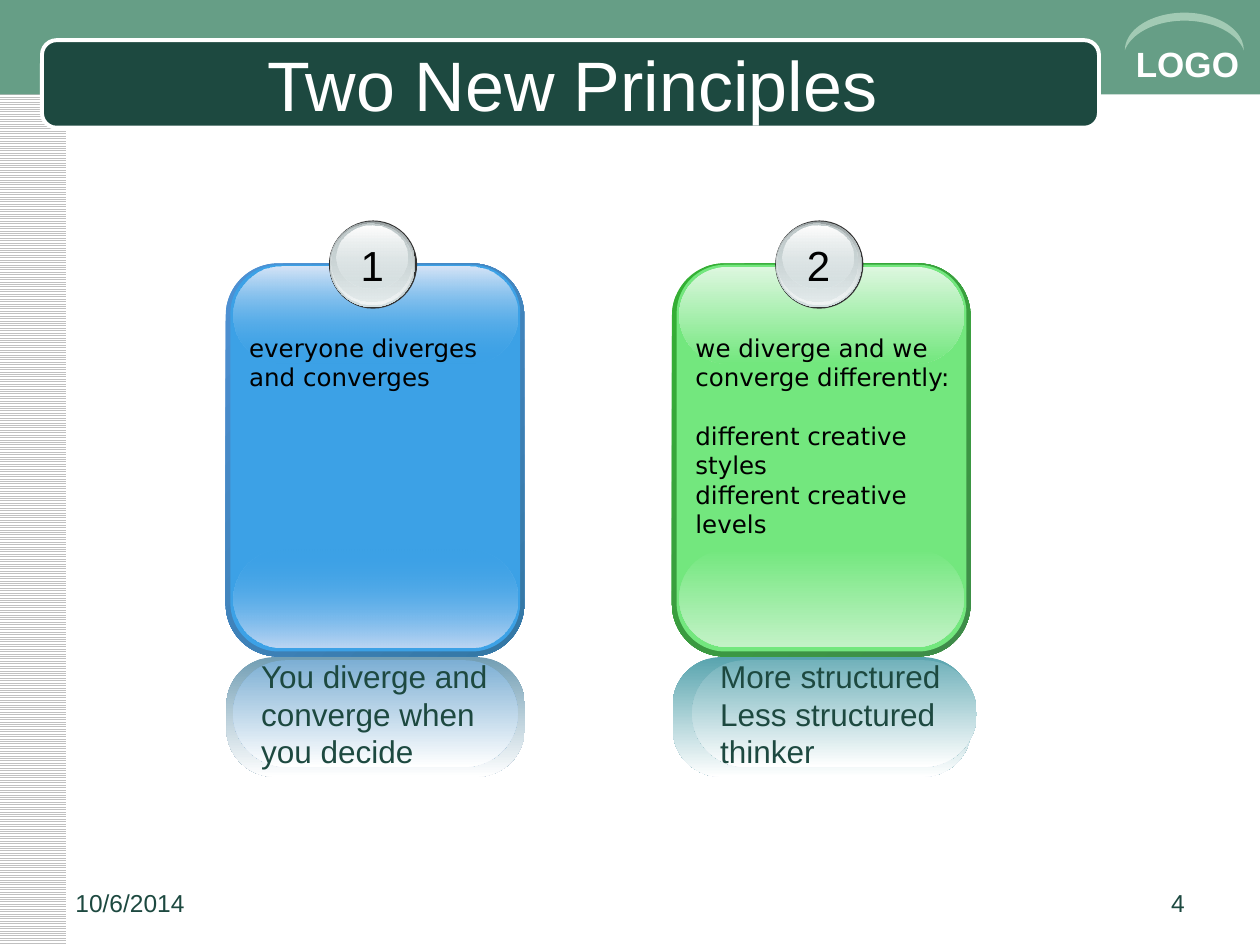
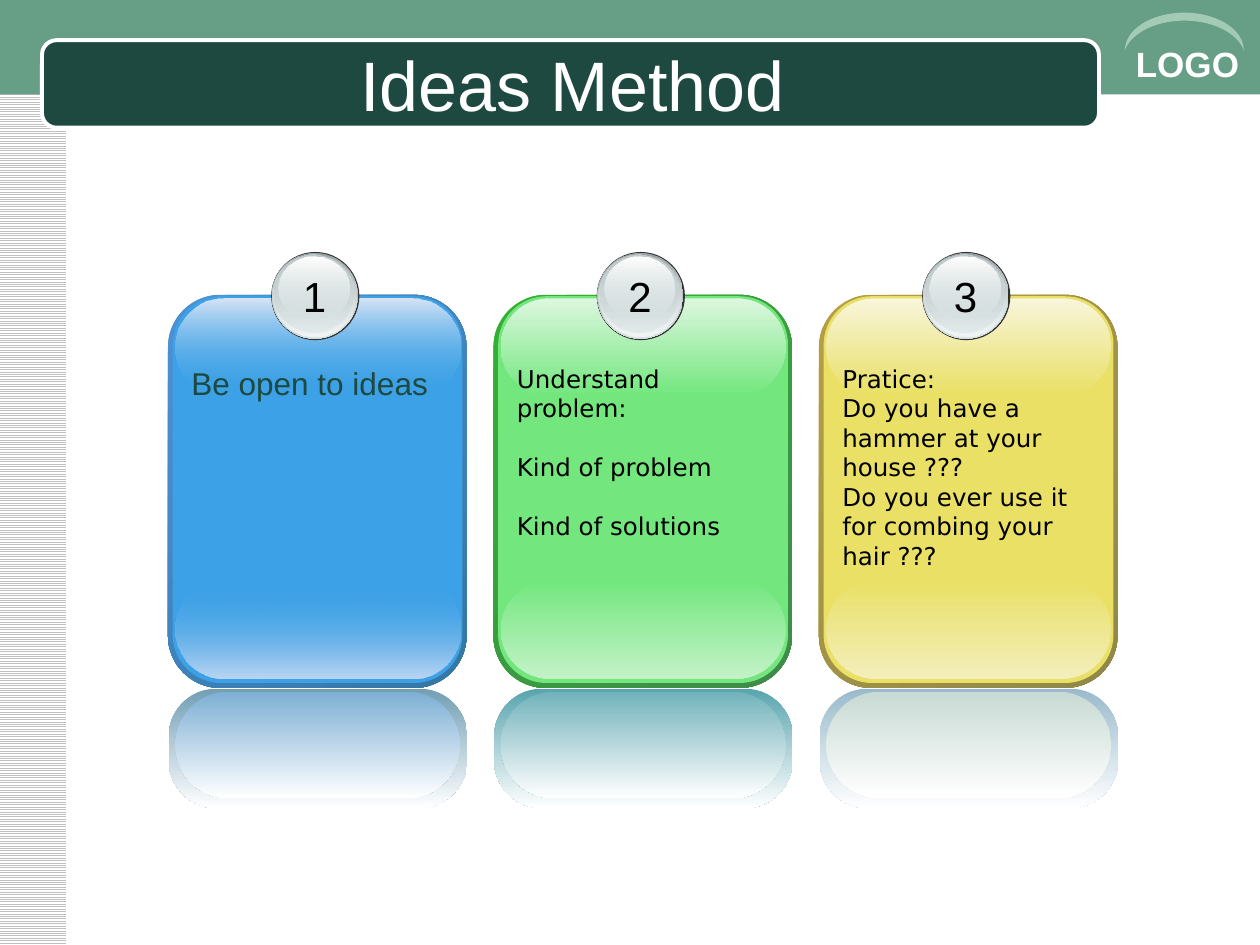
"""Build two slides of numbered glossy cards under a shared green header."""
from pptx import Presentation
from pptx.dml.color import RGBColor
from pptx.enum.dml import MSO_PATTERN
from pptx.enum.shapes import MSO_SHAPE as Preset
from pptx.enum.text import MSO_ANCHOR as Anchor, PP_ALIGN as Align
from pptx.oxml.ns import qn
from pptx.util import Pt
from lxml.etree import SubElement

hex_colour = RGBColor.from_string
DARK, WHITE, BLACK = "1D4940", "FFFFFF", "000000"
HEAD, BODY = "Arial", "DejaVu Sans"


def add_block(slide, preset, box, fill, corner=None, angle=90):
    """Add a shape; fill is one colour or (start, opacity, end, opacity)."""
    block = slide.shapes.add_shape(preset, *map(Pt, box))
    block.shadow.inherit = False
    block.line.fill.background()
    if corner is not None:
        block.adjustments[0] = corner
    if isinstance(fill, str):
        block.fill.solid()
        block.fill.fore_color.rgb = hex_colour(fill)
        return block
    block.fill.gradient()
    block.fill.gradient_angle = 360 - angle
    for stop, colour in zip(block.fill.gradient_stops, fill[::2]):
        stop.color.rgb = hex_colour(colour)
    for colour, opacity in zip(block.element.spPr.iter(qn("a:srgbClr")), fill[1::2]):
        if opacity < 100:
            SubElement(colour, qn("a:alpha")).set("val", str(opacity * 1000))
    return block


def write(holder, lines, size, font=HEAD, colour=DARK, align=Align.LEFT,
          anchor=Anchor.TOP, wrap=True, bold=False, gaps=()):
    """Write one paragraph per line, with a blank line's space before those in gaps."""
    frame = holder.text_frame
    frame.word_wrap = wrap
    frame.vertical_anchor = anchor
    for index, line in enumerate(lines):
        paragraph = frame.add_paragraph() if index else frame.paragraphs[0]
        paragraph.alignment = align
        if index in gaps:
            paragraph.space_before = Pt(size * 1.2)
        run = paragraph.add_run()
        run.text = line
        run.font.size, run.font.name, run.font.bold = Pt(size), font, bold
        run.font.color.rgb = hex_colour(colour)


THEMES = {
    "blue": {"edge": ("4E91D4", 100, "3477A4", 100), "face": "3CA1E6", "face_opacity": 0,
             "top": "D7E5F7", "bottom": "BDD6F3", "mirror": "729EB4", "mirror_face": "7DAFD4"},
    "green": {"edge": ("34B034", 100, "3F8B4A", 100), "face": "73E77E", "face_opacity": 100,
              "top": "DDF7DF", "bottom": "C3F2C7", "mirror": "58A4AE", "mirror_face": "72B2BB"},
    "yellow": {"edge": ("B59F43", 100, "8F8849", 100), "face": "E9E065", "face_opacity": 100,
               "top": "F8F5DB", "bottom": "F3EEBB", "mirror": "99BACC", "mirror_face": "C8DAD4"},
}

BADGE_RINGS = [
    ((59, -24.5, 50.4, 50.4), "333333"),
    ((59.4, -24, 49, 49), ("99A1A2", 100, "D6E1E2", 100)),
    ((60, -23.8, 47.5, 47.5), ("D6E1E2", 0, "F2F5F5", 100)),
    ((60.5, -23, 45.4, 44.6), ("C1CBCC", 100, "D6E1E2", 48)),
    ((63.3, -21.8, 40.3, 36), ("FFFFFF", 100, "D6E1E2", 38)),
]

black_body = {"size": 14, "font": BODY, "colour": BLACK}
SLIDES = [
    {"title": "Two New Principles", "left": 129, "top": 150.5, "pitch": 255,
     "footer": ("10/6/2014", "4"),
     "cards": [
         {"theme": "blue", "style": black_body, "text": ["everyone diverges and converges"],
          "caption": ["You diverge and", "converge when", "you decide"]},
         {"theme": "green", "style": {**black_body, "gaps": (1,)},
          "text": ["we diverge and we converge differently:",
                   "different creative styles", "different creative levels"],
          "caption": ["More structured", "Less structured", "thinker"], "caption_shift": 7.3},
     ]},
    {"title": "Ideas Method", "left": 96, "top": 168.5, "pitch": 186,
     "cards": [
         {"theme": "blue", "style": {"size": 18}, "text": ["Be open to ideas"]},
         {"theme": "green", "style": {**black_body, "gaps": (1, 2)},
          "text": ["Understand problem:", "Kind of problem", "Kind of solutions"]},
         {"theme": "yellow", "style": black_body,
          "text": ["Pratice:", "Do you have a hammer at your house ???",
                   "Do you ever use it for combing your hair ???"]},
     ]},
]

deck = Presentation()
deck.slide_width, deck.slide_height = Pt(720), Pt(540)

for content in SLIDES:
    slide = deck.slides.add_slide(deck.slide_layouts[6])

    stripes = add_block(slide, Preset.RECTANGLE, (-0.5, 0, 38, 540), WHITE)
    stripes.fill.patterned()
    stripes.fill.pattern = MSO_PATTERN.LIGHT_HORIZONTAL
    stripes.fill.fore_color.rgb = hex_colour("C0C0C0")
    stripes.fill.back_color.rgb = hex_colour(WHITE)

    add_block(slide, Preset.RECTANGLE, (0, 0, 720.5, 54), "669E86")
    banner = add_block(slide, Preset.ROUNDED_RECTANGLE, (24, 23, 604, 50), DARK, 0.167)
    banner.line.color.rgb = hex_colour(WHITE)
    banner.line.width = Pt(2.25)
    badge = slide.shapes.add_textbox(Pt(642), Pt(21), Pt(78), Pt(31))
    write(badge, ["LOGO"], 20, colour=WHITE, bold=True)
    arc = add_block(slide, Preset.MOON, (666, -16, 21.5, 68), "A2CAB4", 0.212)
    arc.rotation = 90
    title = slide.shapes.add_textbox(Pt(36), Pt(25), Pt(582), Pt(45))
    write(title, [content["title"]], 40, colour=WHITE, align=Align.CENTER, anchor=Anchor.MIDDLE)

    for number, card in enumerate(content["cards"], 1):
        theme = THEMES[card["theme"]]
        left = content["left"] + (number - 1) * content["pitch"]
        top = content["top"]
        face, opacity = theme["face"], theme["face_opacity"]
        shift = card.get("caption_shift", 0)
        layers = [
            ((0, 0, 170.6, 224.6), theme["edge"], 0.175, 45),
            ((2.7, 0.8, 165.6, 221), face, 0.167, 90),
            ((4.2, 163.3, 162.7, 56), (face, opacity, theme["bottom"], 100), 0.5, 90),
            ((4.2, 2, 162.7, 55.4), (theme["top"], 100, face, opacity), 0.5, 90),
            ((0.4, 225, 170.6, 68.4), (theme["mirror"], 100, WHITE, 100), 0.404, 90),
            ((4.2 + shift, 226.8, 162.7, 61), (theme["mirror_face"], 100, WHITE, 100), 0.5, 90),
        ]
        for (x, y, width, height), fill, corner, angle in layers:
            layer = add_block(slide, Preset.ROUNDED_RECTANGLE,
                              (left + x, top + y, width, height), fill, corner, angle)
        if "caption" in card:
            write(layer, card["caption"], 18, anchor=Anchor.MIDDLE, wrap=False)

        for (x, y, width, height), fill in BADGE_RINGS:
            add_block(slide, Preset.OVAL, (left + x, top + y, width, height), fill)
        numeral = slide.shapes.add_textbox(Pt(left + 69.8), Pt(top - 17.3), Pt(28), Pt(36))
        write(numeral, [str(number)], 24, colour=BLACK, align=Align.CENTER, wrap=False)
        message = slide.shapes.add_textbox(Pt(left + 6.3), Pt(top + 36), Pt(162), Pt(126))
        write(message, card["text"], **card["style"])

    for x, note, align in zip((36, 516), content.get("footer", ()), (Align.LEFT, Align.RIGHT)):
        footer = slide.shapes.add_textbox(Pt(x), Pt(504), Pt(168), Pt(25))
        write(footer, [note], 14, align=align)

deck.save("out.pptx")
